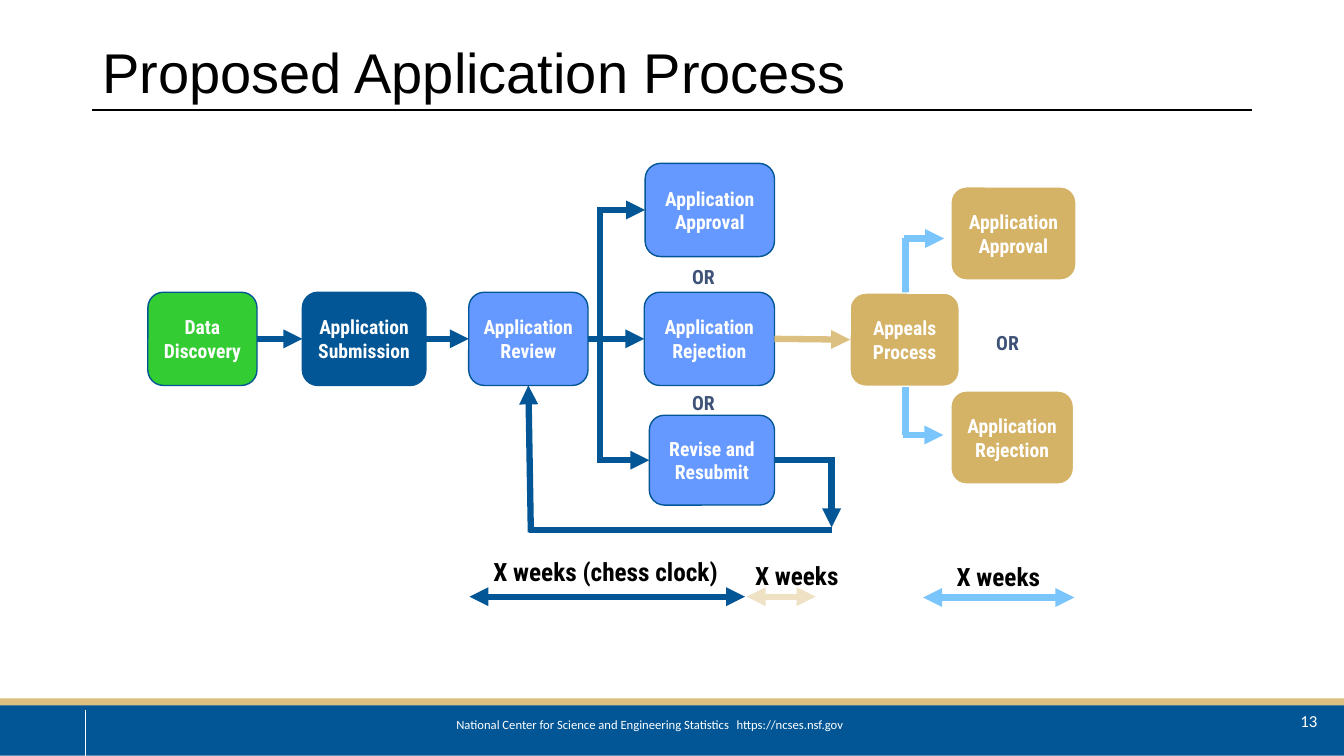
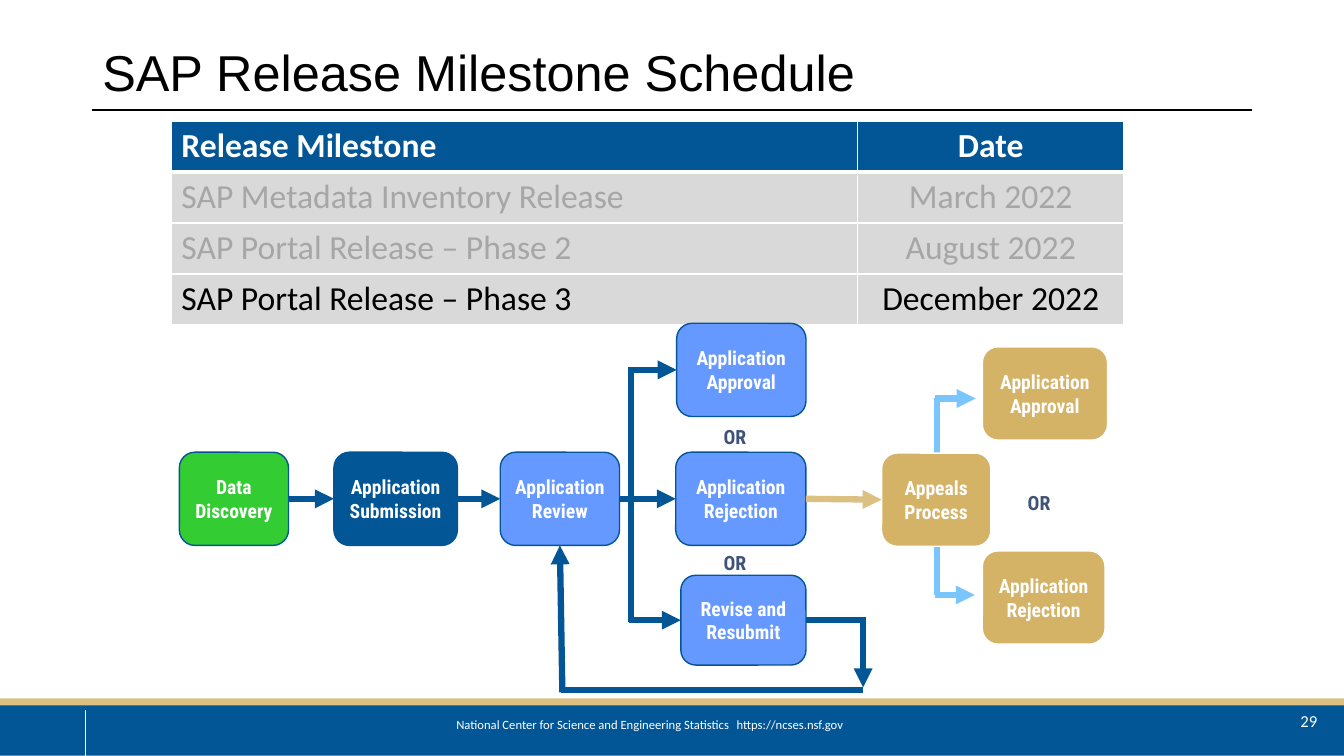
from lxml import etree
from pptx import Presentation
from pptx.dml.color import RGBColor
from pptx.enum.shapes import MSO_CONNECTOR, MSO_SHAPE
from pptx.enum.text import MSO_ANCHOR, PP_ALIGN
from pptx.oxml.ns import qn
from pptx.util import Inches, Pt

LEFT, CENTER, RIGHT = PP_ALIGN.LEFT, PP_ALIGN.CENTER, PP_ALIGN.RIGHT
TOP, MIDDLE = MSO_ANCHOR.TOP, MSO_ANCHOR.MIDDLE
RECTANGLE, ROUNDED = MSO_SHAPE.RECTANGLE, MSO_SHAPE.ROUNDED_RECTANGLE
STRAIGHT = MSO_CONNECTOR.STRAIGHT

NAVY, BLUE, SKY, GREEN = "025695", "6699FF", "7BC5FD", "33CC33"
GOLD, SAND, CREAM, SLATE = "D4B266", "DCC081", "EEE1C4", "3F5378"
WHITE, BLACK, PALE, GRAY = "FFFFFF", "000000", "D9D9D9", "A6A6A6"
FLOW_FONT, BODY_FONT, TITLE_FONT = "Roboto Condensed", "Calibri", "Arial"

# Grid of 160 columns by 90 rows with square cells
WIDTH, HEIGHT = Inches(13.33), Inches(7.5)
COLUMNS, ROWS = 160, 90
CELL = WIDTH / COLUMNS
color = RGBColor.from_string


def block(page, left, top, width, height, text="", size=14, font=FLOW_FONT,
          ink=WHITE, bold=False, align=CENTER, anchor=TOP,
          preset=None, fill=None, edge=None):
    """Add a text box, or a filled shape when a preset is given."""
    place = [int(CELL * value) for value in (left, top, width, height)]
    if preset is None:
        box = page.shapes.add_textbox(*place)
    else:
        box = page.shapes.add_shape(preset, *place)
        box.shadow.inherit = False
        box.fill.solid()
        box.fill.fore_color.rgb = color(fill)
        if edge:
            box.line.color.rgb = color(edge)
            box.line.width = Pt(1)
        else:
            box.line.fill.background()
    frame = box.text_frame
    frame.word_wrap = True
    frame.vertical_anchor = anchor
    if text:
        para = frame.paragraphs[0]
        para.text = text
        para.alignment = align
        para.font.size, para.font.name, para.font.bold = Pt(size), font, bold
        para.font.color.rgb = color(ink)
    return box


def link(page, start, end, ink, weight=4.5, head=False, tail=False,
         boxes=None, shift=(0, 0)):
    """Draw a line between grid points or (box name, side) pairs."""
    ends = [(0, 0) if isinstance(point[0], str) else
            [int(CELL * (value + move)) for value, move in zip(point, shift)]
            for point in (start, end)]
    line = page.shapes.add_connector(STRAIGHT, *ends[0], *ends[1])
    for point, join in ((start, line.begin_connect), (end, line.end_connect)):
        if isinstance(point[0], str):
            join(boxes[point[0]], point[1])
    line.line.color.rgb = color(ink)
    line.line.width = Pt(weight)
    properties = line.element.spPr
    for tag, wanted in (("a:headEnd", head), ("a:tailEnd", tail)):
        if wanted:
            etree.SubElement(properties.find(qn("a:ln")), qn(tag), type="triangle")
    etree.SubElement(properties, qn("a:effectLst"))


# Slides: title, title size, page number, shift of the flow chart
SLIDES = [
    ("Proposed Application Process", 40, "13", (0, 0)),
    ("SAP Release Milestone Schedule", 36, "29", (3.75, 19.05)),
]

# Flow boxes: name, text, left, middle, width, height, fill, edge
MAIN_ROW, BOX_HEIGHT = 40.35, 11.1
FLOW_BOXES = [
    ("submission", "Application Submission", 36, MAIN_ROW, 14.7, BOX_HEIGHT, NAVY, NAVY),
    ("review", "Application Review", 55.8, MAIN_ROW, 14.2, BOX_HEIGHT, BLUE, NAVY),
    ("rejection", "Application Rejection", 76.7, MAIN_ROW, 15.5, BOX_HEIGHT, BLUE, NAVY),
    ("resubmit", "Revise and Resubmit", 77.3, 54.8, 14.9, 10.7, BLUE, NAVY),
    ("approval", "Application Approval", 76.8, 25, 15.4, BOX_HEIGHT, BLUE, NAVY),
    ("appeal approved", "Application Approval", 113.2, 27.8, 14.9, BOX_HEIGHT, GOLD, WHITE),
    ("appeal rejected", "Application Rejection", 113.2, 52.1, 14.6, BOX_HEIGHT, GOLD, WHITE),
    ("discovery", "Data Discovery", 17.6, MAIN_ROW, 13, BOX_HEIGHT, GREEN, NAVY),
    ("appeals", "Appeals Process", 101.2, 40.45, 13, BOX_HEIGHT, GOLD, WHITE),
]
OR_LABELS = [(80.5, 31), (80.5, 46), (116.7, 38.8)]

# Lines: start, end, colour, arrowhead at the end
APPEAL_LINES = [
    ((107.6, 28.4), (112.4, 28.4), SKY, True),
    ((107.8, 28.4), (107.8, 51.8), SKY, False),
    ((107.5, 51.8), (112.3, 51.8), SKY, True),
]
FLOW_LINES = [
    (("discovery", 3), ("submission", 1), NAVY, True),
    (("submission", 3), ("review", 1), NAVY, True),
    (("review", 3), ("rejection", 1), NAVY, True),
    (("rejection", 3), ("appeals", 1), SAND, True),
    ((71.4, 25), ("approval", 1), NAVY, True),
    ((71.4, 24.65), (71.4, 55), NAVY, False),
    ((71.1, 54.8), ("resubmit", 1), NAVY, True),
    (("resubmit", 3), (99, 54.8), NAVY, False),
    ((99, 54.4), (99, 62.8), NAVY, True),
    ((99, 63.15), (63, 63.15), NAVY, False),
    ((63.2, 63.4), ("review", 2), NAVY, True),
]

# Time spans: arrow left, arrow right, row, colour, then the label
TIME_SPANS = [
    (55.9, 88.7, 71.05, NAVY, "X weeks (chess clock)", 55.9, 65.6, 32.4, CENTER),
    (88.9, 97.1, 71.05, CREAM, "X weeks", 88.7, 66.1, 14.2, LEFT),
    (109.9, 127.9, 71.15, SKY, "X weeks", 112.3, 66.2, 13.1, CENTER),
]

MILESTONES = [
    ("Release Milestone", "Date", WHITE, NAVY),
    ("SAP Metadata Inventory Release", "March 2022", GRAY, PALE),
    ("SAP Portal Release – Phase 2", "August 2022", GRAY, PALE),
    ("SAP Portal Release – Phase 3", "December 2022", BLACK, PALE),
]
MILESTONE_COLUMNS, MILESTONE_ROW = (81.7, 31.7), 6.08

deck = Presentation()
deck.slide_width, deck.slide_height = WIDTH, HEIGHT
pages = []

for title, title_size, number, shift in SLIDES:
    page = deck.slides.add_slide(deck.slide_layouts[6])
    pages.append(page)

    # Footer bands, title and page number
    block(page, 0, 83.8, COLUMNS, ROWS - 83.8, preset=RECTANGLE, fill=NAVY)
    link(page, (10.2, 84.6), (10.2, ROWS), WHITE, 0.25)
    block(page, 0, 83.15, COLUMNS, 0.85, preset=RECTANGLE, fill=SAND)
    footer = block(page, 53.15, 85, 54, 5, "National Center for Science and "
                   "Engineering Statistics\thttps://ncses.nsf.gov",
                   9, BODY_FONT, align=LEFT)
    para = footer.text_frame.paragraphs[0]
    para.line_spacing = 0.9
    tabs = etree.Element(qn("a:tabLst"))
    etree.SubElement(tabs, qn("a:tab"), pos=str(Inches(2.78)), algn="l")
    para.font  # the tab list belongs just before the paragraph's font
    para.runs[0].text = para.runs[0].text
    para_properties = footer.element.find(".//" + qn("a:pPr"))
    para_properties.find(qn("a:defRPr")).addprevious(tabs)
    link(page, (11, 13.1), (149, 13.1), BLACK, 1)
    heading = block(page, 11, 4.8, 138, 8.3, title, title_size, TITLE_FONT,
                    BLACK, align=LEFT, anchor=MIDDLE)
    heading.text_frame.paragraphs[0].line_spacing = 0.9
    block(page, 113, 83.4, 45, 4.8, number, 12, BODY_FONT, align=RIGHT, anchor=MIDDLE)

    # Milestone table on the schedule slide
    if page is not pages[0]:
        table = page.shapes.add_table(
            len(MILESTONES), len(MILESTONE_COLUMNS), int(CELL * 20.4), int(CELL * 14.4),
            int(CELL * sum(MILESTONE_COLUMNS)),
            int(CELL * MILESTONE_ROW * len(MILESTONES))).table
        table.horz_banding = False
        for column, width in zip(table.columns, MILESTONE_COLUMNS):
            column.width = int(CELL * width)
        for row, (milestone, date, ink, fill) in enumerate(MILESTONES):
            table.rows[row].height = int(CELL * MILESTONE_ROW)
            for column, (text, align) in enumerate(((milestone, LEFT), (date, CENTER))):
                cell = table.cell(row, column)
                cell.fill.solid()
                cell.fill.fore_color.rgb = color(fill)
                para = cell.text_frame.paragraphs[0]
                para.text, para.alignment = text, align
                para.font.size, para.font.name = Pt(24), BODY_FONT
                para.font.bold = row == 0
                para.font.color.rgb = color(ink)
                cell_properties = cell.fill.fore_color and cell.text_frame._txBody.getnext()
                for order, side in enumerate(("L", "R", "T", "B")):
                    thick = (row, side) in ((0, "B"), (1, "T"))
                    border = etree.Element(qn("a:ln" + side), w=str(Pt(3 if thick else 1)))
                    paint = etree.SubElement(border, qn("a:solidFill"))
                    etree.SubElement(paint, qn("a:srgbClr"), val=WHITE)
                    cell_properties.insert(order, border)

    # Flow chart: appeal branch behind the boxes, other lines in front
    for start, end, ink, arrow in APPEAL_LINES:
        link(page, start, end, ink, tail=arrow, shift=shift)
    boxes = {}
    for name, text, left, middle, width, height, fill, edge in FLOW_BOXES:
        box = block(page, left + shift[0], middle - height / 2 + shift[1], width, height,
                    text, bold=True, anchor=MIDDLE, preset=ROUNDED, fill=fill, edge=edge)
        box.text_frame.margin_left = box.text_frame.margin_right = int(CELL * 0.6)
        boxes[name] = box
    for left, top in OR_LABELS:
        block(page, left + shift[0], top + shift[1], 6.5, 4.1, "OR", ink=SLATE, bold=True)
    for start, end, ink, arrow in FLOW_LINES:
        link(page, start, end, ink, tail=arrow, boxes=boxes, shift=shift)

# Time spans under the first flow chart
for start, end, row, ink, text, left, top, width, align in TIME_SPANS:
    link(pages[0], (start, row), (end, row), ink, head=True, tail=True)
    block(pages[0], left, top, width, 4.8, text, 18, ink=BLACK, bold=True, align=align)

deck.save("out.pptx")
